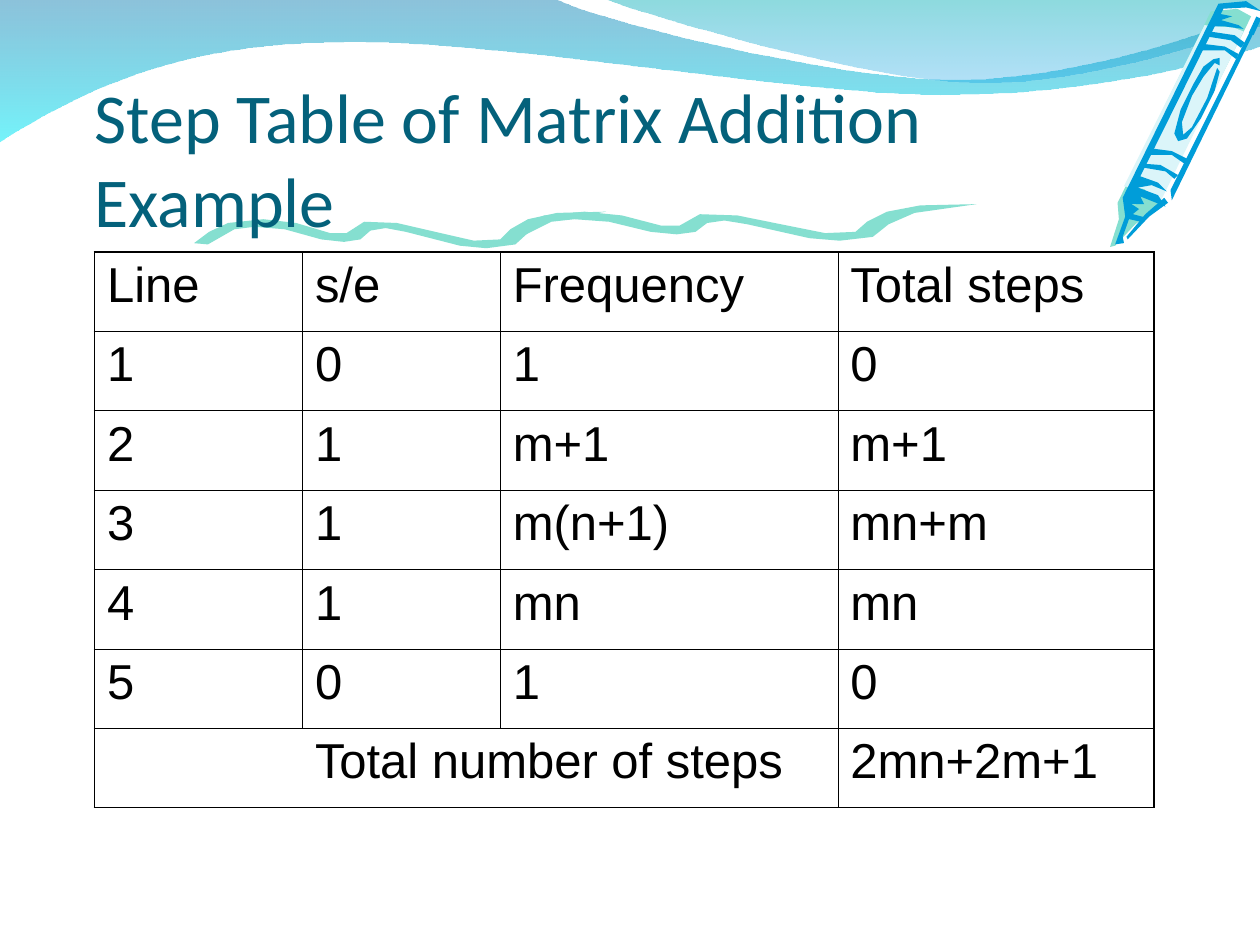
from collections import namedtuple
from dataclasses import dataclass
from math import cos, radians, sin

from lxml.etree import SubElement
from pptx import Presentation
from pptx.dml.color import RGBColor
from pptx.enum.shapes import MSO_CONNECTOR
from pptx.enum.text import MSO_ANCHOR, MSO_AUTO_SIZE, PP_ALIGN
from pptx.oxml import parse_xml
from pptx.oxml.ns import nsdecls, qn
from pptx.util import Inches, Pt

Box = namedtuple("Box", "left top width height")


@dataclass(frozen=True)
class Theme:
    """Colours, fonts and sizes of the slide."""
    title: str = "04617B"
    text: str = "000000"
    white: str = "FFFFFF"
    mint: str = "85DFD0"
    pale: str = "DBF5F9"
    blue: str = "009DD9"
    wave: tuple = (("0079AF", 45), ("00EBF8", 55))
    ripple: tuple = (("00ADB6", 45), ("009BE5", 30))
    title_font: str = "Calibri"
    table_font: str = "Arial"
    title_size: float = 40
    table_size: float = 28
    space_before: float = 7
    outer_line: float = 1.08
    inner_line: float = 0.45
    tip_line: float = 3


THEME = Theme()
WAVE = [(0, -1), (440, -1), (476, 17, 664, 63, 758, 63), (853, 63, 958, 26, 1000, 9),
        (1001, 36), (983, 44, 870, 76, 746, 75), (622, 75, 382, 28, 257, 34),
        (129, 35, 46, 83, -1, 113)]
RIPPLE = [(479, -1), (509, 11, 682, 62, 769, 65), (856, 69, 961, 32, 1000, 21), (1000, 0)]
SQUIGGLE = [(11, 26), (32, 14), (48, 12), (72, 14), (101, 22), (119, 24), (132, 22), (140, 15),
            (152, 13), (168, 16), (211, 27), (232, 29), (255, 26), (266, 16), (284, 7), (327, 0),
            (288, 1), (265, 6), (251, 14), (243, 22), (222, 23), (200, 18), (161, 9), (135, 8),
            (121, 17), (108, 17), (81, 9), (55, 6), (27, 9), (12, 16), (0, 25)]
CRAYON = [
    (THEME.white, [(89, 6), (111, 4), (122, 10), (46, 161), (28, 175), (13, 191), (9, 191),
                   (16, 170), (15, 157)]),
    (THEME.mint, [(113, 13), (37, 166), (21, 178), (5, 195), (1, 196), (8, 174), (7, 161),
                  (81, 9), (102, 7)]),
    (THEME.pale, [(41, 160), (28, 150), (12, 148), (76, 20), (99, 22), (107, 25)]),
    (THEME.blue, [(47, 161), (32, 172), (15, 190), (14, 188), (29, 170), (44, 157)]),
    (THEME.blue, [(107, 23), (92, 21), (81, 21), (88, 11), (98, 13), (89, 16), (103, 20)]),
    (THEME.blue, [(88, 57), (84, 72), (73, 94), (62, 110), (55, 112), (52, 106), (57, 87),
                  (67, 67), (75, 53), (83, 47), (88, 46), (88, 52), (84, 50), (75, 61), (66, 76),
                  (58, 97), (59, 107), (66, 101), (78, 78), (86, 54)]),
    (THEME.blue, [(117, 22), (50, 159), (49, 151), (113, 23)]),
    (THEME.blue, [(45, 164), (39, 155), (23, 149), (34, 147), (46, 152), (39, 145), (25, 140),
                  (91, 7), (109, 6), (121, 9), (109, 1), (87, 3), (11, 157), (13, 172), (5, 194),
                  (12, 193), (11, 188), (16, 174), (25, 176), (30, 173), (19, 170), (24, 166),
                  (18, 162), (28, 162), (25, 156)]),
    (THEME.blue, [(52, 142), (45, 136), (27, 133), (28, 130), (41, 131), (55, 139)]),
    (THEME.blue, [(60, 130), (50, 123), (32, 123), (35, 118), (50, 120), (62, 126)]),
    (THEME.blue, [(101, 47), (92, 40), (73, 40), (76, 35), (92, 37), (103, 43)]),
    (THEME.blue, [(105, 38), (97, 32), (78, 29), (80, 25), (100, 28), (108, 34)]),
]
ROWS = [("Line", "s/e", "Frequency", "Total steps"), ("1", "0", "1", "0"),
        ("2", "1", "m+1", "m+1"), ("3", "1", "m(n+1)", "mn+m"), ("4", "1", "mn", "mn"),
        ("5", "0", "1", "0"), ("", "Total number of steps", "", "2mn+2m+1")]
COLUMN_WIDTHS = (1.65, 1.57, 2.68, 2.51)


def set_values(target, values):
    """Set each named attribute on the target."""
    for name, value in values.items():
        setattr(target, name, value)


def format_font(font, name, size, color):
    """Set the typeface, size and colour."""
    set_values(font, {"name": name, "size": Pt(size)})
    font.color.rgb = RGBColor.from_string(color)


def flatten(nodes, steps=24):
    """Turn line and cubic curve nodes into a list of points."""
    points = []
    for node in nodes:
        if len(node) == 2:
            points.append(node)
            continue
        controls = [points[-1], node[:2], node[2:4], node[4:]]
        for step in range(1, steps + 1):
            t = step / steps
            weights = ((1 - t) ** 3, 3 * t * (1 - t) ** 2, 3 * t * t * (1 - t), t ** 3)
            points.append(tuple(sum(w * c[axis] for w, c in zip(weights, controls))
                                for axis in (0, 1)))
    return points


def turn(x, y, degrees):
    """Rotate a point clockwise about the origin."""
    angle = radians(degrees)
    return x * cos(angle) - y * sin(angle), x * sin(angle) + y * cos(angle)


def add_outline(page, box, points, rotation=0, scale=1):
    """Draw a closed outline given in hundredths of an inch from the box corner."""
    placed = [turn(Inches(box.left + x * scale / 100), Inches(box.top + y / 100), -rotation)
              for x, y in points]
    builder = page.shapes.build_freeform(*placed[0])
    builder.add_line_segments(placed[1:], close=True)
    shape = builder.convert_to_shape()
    center_x, center_y = turn(shape.left + shape.width / 2, shape.top + shape.height / 2, rotation)
    set_values(shape, {"left": int(center_x - shape.width / 2),
                       "top": int(center_y - shape.height / 2), "rotation": rotation})
    shape.shadow.inherit = False
    shape.line.fill.background()
    return shape


def fill_solid(shape, color):
    """Fill a shape with one colour."""
    shape.fill.solid()
    shape.fill.fore_color.rgb = RGBColor.from_string(color)


def add_waves(page, box):
    """Draw the two translucent waves across the top."""
    for nodes, stops in ((WAVE, THEME.wave), (RIPPLE, THEME.ripple)):
        shape = add_outline(page, box, flatten(nodes))
        shape.fill.gradient()
        shape.fill.gradient_angle = 270
        for stop, (color, _) in zip(shape.fill.gradient_stops, stops):
            stop.color.rgb = RGBColor.from_string(color)
        for node, (_, opacity) in zip(shape.element.spPr.iter(qn("a:srgbClr")), stops):
            SubElement(node, qn("a:alpha"), val=str(opacity * 1000))


def add_squiggle(page, box):
    """Draw one crayon stroke stretched to the box width."""
    fill_solid(add_outline(page, box, SQUIGGLE, 90, box.width / 3.27), THEME.mint)


def add_crayon(page, box):
    """Draw the crayon in the corner."""
    for color, points in CRAYON:
        fill_solid(add_outline(page, box, points, 52.9), color)
    tip = page.shapes.add_connector(
        MSO_CONNECTOR.STRAIGHT, Inches(box.left + 1.19), Inches(box.top + 0.14),
        Inches(box.left + 1.13), Inches(box.top + 0.27))
    tip.line.color.rgb = RGBColor.from_string(THEME.blue)
    tip.line.width = Pt(THEME.tip_line)
    SubElement(tip.element.spPr, qn("a:effectLst"))


def place_title(page, box, text):
    """Move and format the title placeholder."""
    title = page.shapes.title
    page.shapes.element.append(title.element)
    set_values(title, {name: Inches(value) for name, value in box._asdict().items()})
    frame = title.text_frame
    frame.text = text
    set_values(frame, {"margin_left": 0, "margin_top": Inches(0.05), "margin_right": 0,
                       "margin_bottom": 0, "word_wrap": True, "auto_size": MSO_AUTO_SIZE.NONE,
                       "vertical_anchor": MSO_ANCHOR.BOTTOM})
    para = frame.paragraphs[0]
    para.alignment = PP_ALIGN.LEFT
    format_font(para.runs[0].font, THEME.title_font, THEME.title_size, THEME.title)


def set_borders(cell, widths):
    """Draw the cell sides, where a width of zero means no line."""
    for index, (side, width) in enumerate(widths.items()):
        paint = (f'<a:solidFill><a:srgbClr val="{THEME.text}"/></a:solidFill>'
                 if width else "<a:noFill/>")
        line = parse_xml(f'<a:ln{side} {nsdecls("a")} w="{Pt(width)}">{paint}</a:ln{side}>')
        cell._tc.get_or_add_tcPr().insert(index, line)


def add_step_table(page, box):
    """Build the step table with a merged total row."""
    last_row, last_column = len(ROWS) - 1, len(COLUMN_WIDTHS) - 1
    table = page.shapes.add_table(len(ROWS), len(COLUMN_WIDTHS), *map(Inches, box)).table
    set_values(table, {"first_row": False, "horz_banding": False})
    for column, width in zip(table.columns, COLUMN_WIDTHS):
        column.width = Inches(width)
    outer, inner = THEME.outer_line, THEME.inner_line
    for r, texts in enumerate(ROWS):
        for c, text in enumerate(texts):
            cell = table.cell(r, c)
            cell.fill.background()
            total = r == last_row
            set_borders(cell, {
                "L": outer if c == 0 else 0 if total and c < last_column else inner,
                "R": outer if c == last_column else 0 if total and c < last_column - 1 else inner,
                "T": outer if r == 0 else inner,
                "B": outer if total else inner})
            if text:
                cell.text = text
                para = cell.text_frame.paragraphs[0]
                para.space_before = Pt(THEME.space_before)
                format_font(para.runs[0].font, THEME.table_font, THEME.table_size, THEME.text)
    table.cell(last_row, 1).merge(table.cell(last_row, 2))


def main():
    """Build the deck and save it."""
    deck = Presentation()
    set_values(deck, {"slide_width": Inches(10), "slide_height": Inches(7.5)})
    page = deck.slides.add_slide(deck.slide_layouts[5])
    add_waves(page, Box(0, 0, 10, 1.13))
    add_squiggle(page, Box(1.54, 1.68, 3.27, 0.29))
    add_squiggle(page, Box(4.01, 1.62, 3.74, 0.29))
    add_crayon(page, Box(8.8, 0, 1.22, 1.96))
    place_title(page, Box(0.75, 0.17, 7.51, 1.75), "Step Table of Matrix Addition Example")
    add_step_table(page, Box(0.75, 2, 8.42, 4.41))
    deck.save("out.pptx")


if __name__ == "__main__":
    main()
